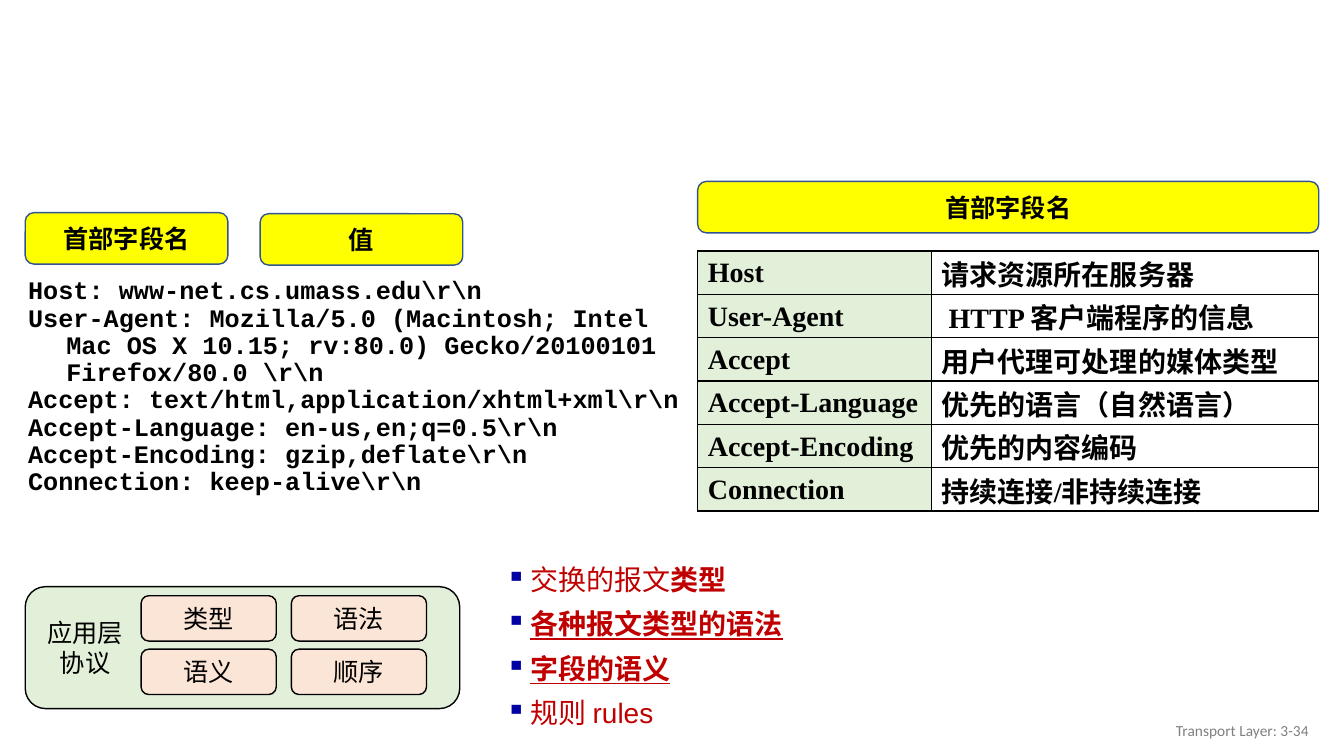
import dataclasses

import pptx
import pptx.dml.color
import pptx.enum.shapes
import pptx.enum.text
import pptx.oxml.ns
import pptx.util
from lxml import etree
from pptx.util import Inches

ALIGN = pptx.enum.text.PP_ALIGN
ANCHOR = pptx.enum.text.MSO_ANCHOR


@dataclasses.dataclass(frozen=True)
class Theme:
    black: str = "000000"
    white: str = "FFFFFF"
    gray: str = "808080"
    red: str = "C00000"
    bullet_blue: str = "0000A3"
    yellow: str = "FFFF00"
    label_line: str = "325491"
    green: str = "E2F0D9"
    peach: str = "FBE5D6"
    serif: str = "Times New Roman"
    code: str = "Courier New"
    sans: str = "Arial"
    footer: str = "Calibri"
    large: int = 20
    body: int = 18
    small: int = 11


THEME = Theme()

HEADER_LINES = [
    r"Host: www-net.cs.umass.edu\r\n",
    r"User-Agent: Mozilla/5.0 (Macintosh; Intel Mac OS X 10.15; rv:80.0) "
    r"Gecko/20100101 Firefox/80.0 \r\n",
    r"Accept: text/html,application/xhtml+xml\r\n",
    r"Accept-Language: en-us,en;q=0.5\r\n",
    r"Accept-Encoding: gzip,deflate\r\n",
    r"Connection: keep-alive\r\n",
]
FIELD_MEANINGS = [
    ("Host", "请求资源所在服务器"),
    ("User-Agent", " HTTP 客户端程序的信息"),
    ("Accept", "用户代理可处理的媒体类型"),
    ("Accept-Language", "优先的语言（自然语言）"),
    ("Accept-Encoding", "优先的内容编码"),
    ("Connection", "持续连接/非持续连接"),
]
STRONG = {"bold": True, "underline": True}
PROTOCOL_POINTS = [
    [("交换的报文", {}), ("类型", {"bold": True})],
    [("各种报文类型的语法", STRONG)],
    [("字段的语义", STRONG)],
    [("规则 rules", {})],
]
PROTOCOL_PARTS = [["类型", "语法"], ["语义", "顺序"]]


def rgb(color):
    return pptx.dml.color.RGBColor.from_string(color)


def set_attributes(target, values):
    for name, value in values.items():
        setattr(target, name, value)


def add_run(paragraph, text, font, size, color=THEME.black, **styles):
    run = paragraph.add_run()
    run.text = text
    set_attributes(run.font, {"name": font, "size": pptx.util.Pt(size), **styles})
    run.font.color.rgb = rgb(color)


def add_paragraphs(frame, count):
    return [frame.paragraphs[0]] + [frame.add_paragraph() for _ in range(count - 1)]


def set_indent(paragraph, left, first):
    properties = paragraph._p.get_or_add_pPr()
    properties.set("marL", str(Inches(left)))
    properties.set("indent", str(Inches(first)))
    return properties


def add_bullet(paragraph, left, first):
    properties = set_indent(paragraph, left, first)
    qualified = pptx.oxml.ns.qn
    bullet_color = etree.SubElement(properties, qualified("a:buClr"))
    etree.SubElement(bullet_color, qualified("a:srgbClr"), val=THEME.bullet_blue)
    etree.SubElement(properties, qualified("a:buChar"), char="▪")


def add_text(slide, left, top, width, height, **format_values):
    box = slide.shapes.add_textbox(*map(Inches, (left, top, width, height)))
    set_attributes(box.text_frame, {"word_wrap": True, **format_values})
    return box.text_frame


def add_rounded_box(shapes, bounds, fill, line, text="", bold=False):
    shape = shapes.add_shape(
        pptx.enum.shapes.MSO_SHAPE.FLOWCHART_ALTERNATE_PROCESS, *map(Inches, bounds))
    shape.shadow.inherit = False
    shape.fill.solid()
    shape.fill.fore_color.rgb = rgb(fill)
    shape.line.color.rgb = rgb(line)
    shape.line.width = pptx.util.Pt(1)
    if text:
        set_attributes(shape.text_frame, {"word_wrap": True, "vertical_anchor": ANCHOR.MIDDLE})
        paragraph = shape.text_frame.paragraphs[0]
        paragraph.alignment = ALIGN.CENTER
        add_run(paragraph, text, THEME.serif, THEME.body, bold=bold)


def add_cell_borders(cell):
    qualified = pptx.oxml.ns.qn
    properties = cell._tc.get_or_add_tcPr()
    for index, side in enumerate(("a:lnL", "a:lnR", "a:lnT", "a:lnB")):
        border = etree.Element(qualified(side), w=str(pptx.util.Pt(1)))
        fill = etree.SubElement(border, qualified("a:solidFill"))
        etree.SubElement(fill, qualified("a:srgbClr"), val=THEME.black)
        properties.insert(index, border)


def add_field_table(slide, left, top, column_widths, row_height):
    rows = len(FIELD_MEANINGS)
    table = slide.shapes.add_table(
        rows, len(column_widths), Inches(left), Inches(top),
        Inches(sum(column_widths)), Inches(row_height * rows)).table
    set_attributes(table, {"first_row": False, "horz_banding": False})
    for column, width in zip(table.columns, column_widths):
        column.width = Inches(width)
    for row_index, texts in enumerate(FIELD_MEANINGS):
        for column_index, (text, fill) in enumerate(zip(texts, (THEME.green, THEME.white))):
            cell = table.cell(row_index, column_index)
            set_attributes(cell, {"vertical_anchor": ANCHOR.MIDDLE,
                                  "margin_top": Inches(0.01), "margin_bottom": 0})
            cell.fill.solid()
            cell.fill.fore_color.rgb = rgb(fill)
            add_cell_borders(cell)
            add_run(cell.text_frame.paragraphs[0], text, THEME.serif, THEME.large, bold=True)


def add_header_lines(slide):
    frame = add_text(slide, 0.18, 2.71, 6.67, 2.29)
    for paragraph, line in zip(add_paragraphs(frame, len(HEADER_LINES)), HEADER_LINES):
        set_indent(paragraph, 0.38, -0.38)
        paragraph.line_spacing = 0.9
        add_run(paragraph, line, THEME.code, THEME.body, bold=True)


def add_protocol_points(slide):
    frame = add_text(slide, 4.77, 5.57, 3.29, 1.73)
    paragraphs = add_paragraphs(frame, len(PROTOCOL_POINTS))
    for index, (paragraph, runs) in enumerate(zip(paragraphs, PROTOCOL_POINTS)):
        add_bullet(paragraph, 0.39, -0.24)
        set_attributes(paragraph, {"line_spacing": 0.9,
                                   "space_before": pptx.util.Pt(10 if index else 0)})
        for text, styles in runs:
            add_run(paragraph, text, THEME.sans, THEME.large, THEME.red, **styles)


def add_protocol_diagram(slide):
    shapes = slide.shapes.add_group_shape().shapes
    add_rounded_box(shapes, (0.25, 5.82, 4.31, 1.21), THEME.green, THEME.black)
    add_rounded_box(shapes, (0.33, 6.06, 1.03, 0.73), THEME.green, THEME.green, "应用层协议")
    for row, names in enumerate(PROTOCOL_PARTS):
        for column, name in enumerate(names):
            bounds = (1.4 + 1.49 * column, 5.91 + 0.53 * row, 1.34, 0.45)
            add_rounded_box(shapes, bounds, THEME.peach, THEME.black, name)


def main():
    presentation = pptx.Presentation()
    set_attributes(presentation, {"slide_width": Inches(13.33), "slide_height": Inches(7.5)})
    slide = presentation.slides.add_slide(presentation.slide_layouts[6])

    # Footer
    footer = add_text(slide, 10.08, 7.05, 3, 0.4, vertical_anchor=ANCHOR.MIDDLE).paragraphs[0]
    footer.alignment = ALIGN.RIGHT
    add_run(footer, "Transport Layer: 3-34", THEME.footer, THEME.small, THEME.gray)

    # Request header and the meaning of its fields
    add_header_lines(slide)
    add_field_table(slide, 6.92, 2.49, (2.32, 3.84), 0.43)
    for text, bounds in (("首部字段名", (6.92, 1.8, 6.16, 0.51)),
                         ("首部字段名", (0.25, 2.11, 2.01, 0.51)),
                         ("值", (2.58, 2.12, 2.01, 0.51))):
        add_rounded_box(slide.shapes, bounds, THEME.yellow, THEME.label_line, text, bold=True)

    # What an application protocol defines
    add_protocol_points(slide)
    add_protocol_diagram(slide)
    presentation.save("out.pptx")


if __name__ == "__main__":
    main()
